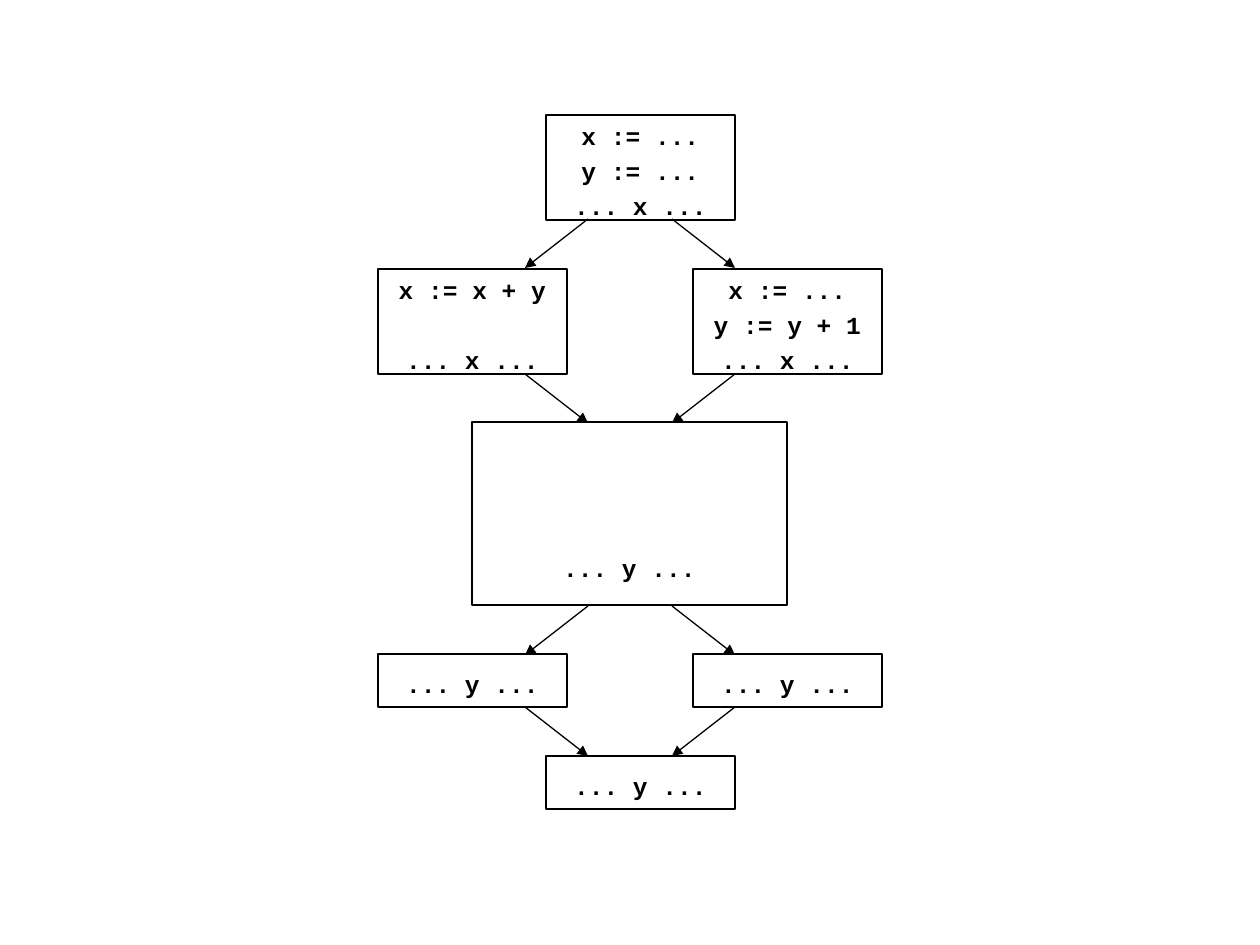
from lxml.etree import SubElement
from pptx import Presentation
from pptx.dml.color import RGBColor
from pptx.enum.shapes import MSO_CONNECTOR, MSO_SHAPE
from pptx.enum.text import MSO_ANCHOR, PP_ALIGN
from pptx.oxml.ns import qn
from pptx.util import Pt

PX = 914400 / 126
BLACK = RGBColor(0, 0, 0)
LINE_WIDTH = Pt(0.75)
CENTER = 630
BOX_WIDTH = 189
TALL, LOW = 105, 53
LEFT_COLUMN, MIDDLE_COLUMN, RIGHT_COLUMN = 378, 546, 693


def px(length):
    return round(length * PX)


def write_text(shape, lines, *, anchor=MSO_ANCHOR.MIDDLE, bottom=6, gap=0, size=14, font="Courier New"):
    """Write centred code lines; gap is the space in points before each later line."""
    frame = shape.text_frame
    frame.word_wrap = False
    frame.vertical_anchor = anchor
    frame.margin_bottom = px(bottom)
    for index, line in enumerate(lines):
        paragraph = frame.add_paragraph() if index else frame.paragraphs[0]
        paragraph.text = line
        paragraph.alignment = PP_ALIGN.CENTER
        paragraph.line_spacing = 1.2
        if index:
            paragraph.space_before = Pt(gap)
        paragraph.font.name = font
        paragraph.font.size = Pt(size)
        paragraph.font.bold = True
        paragraph.font.color.rgb = BLACK


presentation = Presentation()
presentation.slide_width = px(1260)
presentation.slide_height = px(945)
slide = presentation.slides.add_slide(presentation.slide_layouts[6])

# Basic blocks: left, top, width, height, code lines, text format
blocks = [
    (MIDDLE_COLUMN, 115, BOX_WIDTH, TALL, ["x := ...", "y := ...", "... x ..."], {}),
    (LEFT_COLUMN, 269, BOX_WIDTH, TALL, ["x := x + y", "... x ..."], {"gap": 20}),
    (RIGHT_COLUMN, 269, BOX_WIDTH, TALL, ["x := ...", "y := y + 1", "... x ..."], {}),
    (472, 422, 315, 183, ["... y ..."], {"anchor": MSO_ANCHOR.BOTTOM, "bottom": 23}),
    (LEFT_COLUMN, 654, BOX_WIDTH, LOW, ["... y ..."], {}),
    (RIGHT_COLUMN, 654, BOX_WIDTH, LOW, ["... y ..."], {}),
    (MIDDLE_COLUMN, 756, BOX_WIDTH, LOW, ["... y ..."], {}),
]
for left, top, width, height, lines, text_format in blocks:
    block = slide.shapes.add_shape(MSO_SHAPE.RECTANGLE, px(left), px(top), px(width), px(height))
    block.shadow.inherit = False
    block.fill.background()
    block.line.color.rgb = BLACK
    block.line.width = LINE_WIDTH
    write_text(block, lines, **text_format)

# Control flow alternately splits and joins, mirrored about the centre
INNER, OUTER, ARROW_HEIGHT = 42, 105, 49
for row, top in enumerate([219, 374, 606, 707]):
    start, end = (OUTER, INNER) if row % 2 else (INNER, OUTER)
    for side in (-1, 1):
        arrow = slide.shapes.add_connector(
            MSO_CONNECTOR.STRAIGHT,
            px(CENTER + side * start), px(top),
            px(CENTER + side * end), px(top + ARROW_HEIGHT),
        )
        arrow.line.color.rgb = BLACK
        arrow.line.width = LINE_WIDTH
        SubElement(arrow.line._get_or_add_ln(), qn("a:tailEnd"), type="triangle", w="med", len="med")
        SubElement(arrow._element.spPr, qn("a:effectLst"))

presentation.save("out.pptx")
